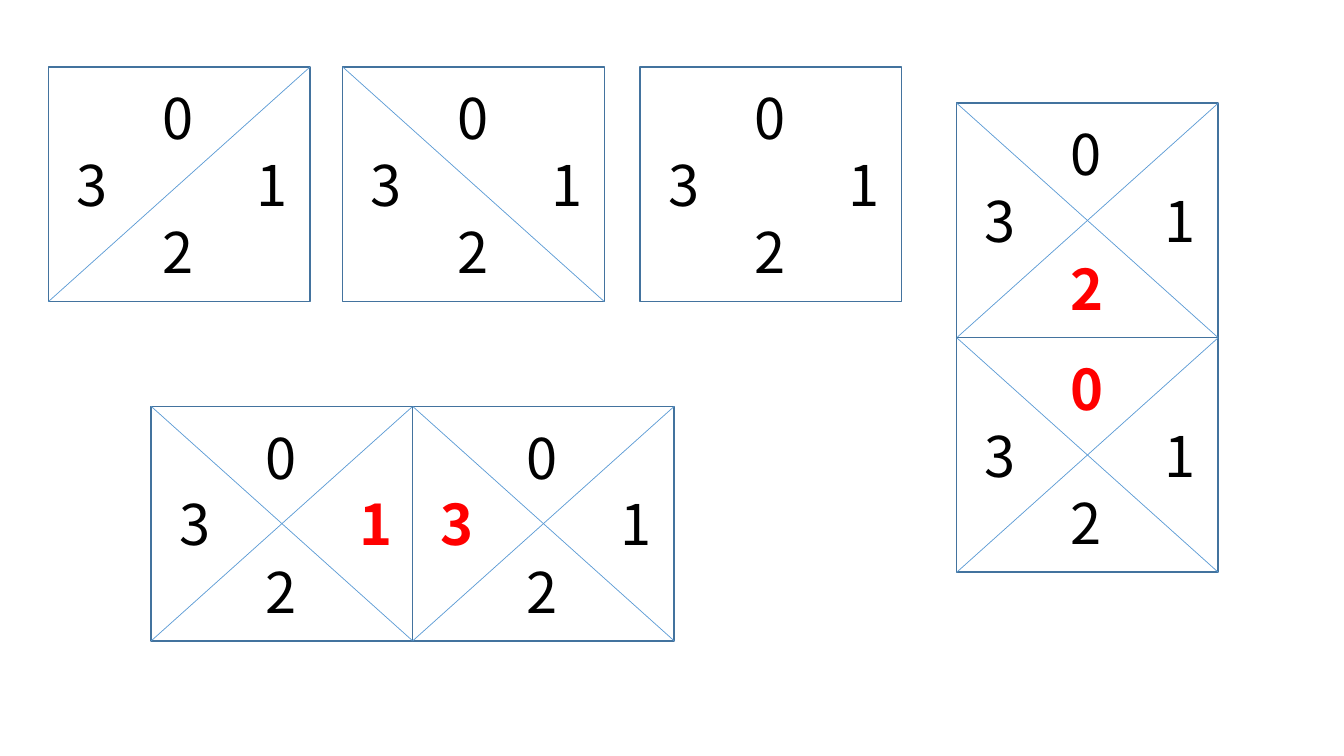
from dataclasses import dataclass

from lxml.etree import SubElement
from pptx import Presentation
from pptx.dml.color import RGBColor
from pptx.enum.shapes import MSO_CONNECTOR, MSO_SHAPE
from pptx.enum.text import MSO_ANCHOR, MSO_AUTO_SIZE, PP_ALIGN
from pptx.oxml.ns import qn
from pptx.util import Cm, Pt


@dataclass(frozen=True)
class Theme:
    """Colours, type and line widths of the slide."""
    font: str = "Noto Sans CJK SC"
    digit_size: Pt = Pt(40)
    digit: RGBColor = RGBColor(0x00, 0x00, 0x00)
    shared: RGBColor = RGBColor(0xFF, 0x00, 0x00)
    border: RGBColor = RGBColor(0x43, 0x73, 0x9E)
    border_width: Pt = Pt(1)
    diagonal: RGBColor = RGBColor(0x5B, 0x9B, 0xD5)
    diagonal_width: Pt = Pt(0.5)


theme = Theme()
presentation = Presentation()
presentation.slide_width, presentation.slide_height = Cm(33.87), Cm(19.05)
slide = presentation.slides.add_slide(presentation.slide_layouts[6])


def add_text(text, *, left, top, width, height, color, bold=False):
    """Place one line of text, with lengths in centimetres."""
    box = slide.shapes.add_textbox(Cm(left), Cm(top), Cm(width), Cm(height))
    frame = box.text_frame
    frame.word_wrap = True
    frame.auto_size = MSO_AUTO_SIZE.NONE
    frame.vertical_anchor = MSO_ANCHOR.MIDDLE
    frame.margin_right = 0
    paragraph = frame.paragraphs[0]
    paragraph.alignment = PP_ALIGN.LEFT
    run = paragraph.add_run()
    run.text = text
    run.font.name = theme.font
    run.font.size = theme.digit_size
    run.font.bold = bold
    run.font.color.rgb = color


def add_diagonal(start, end):
    """Draw a thin line between two points in centimetres."""
    line = slide.shapes.add_connector(
        MSO_CONNECTOR.STRAIGHT, *map(Cm, (*start, *end)))
    line.line.color.rgb = theme.diagonal
    line.line.width = theme.diagonal_width
    SubElement(line.element.spPr, qn("a:effectLst"))


TILE_WIDTH, TILE_HEIGHT = 6.59, 5.91
DIGIT_WIDTH, DIGIT_HEIGHT = 0.86, 1.96

# Offset of each side's digit from the tile's top left corner
side_offsets = {"0": (2.63, 0.29), "2": (2.63, 3.67),
                "1": (5.0, 1.97), "3": (0.46, 1.97)}

row_top = 1.69
pair_left, pair_top = 3.81, 10.24
stack_left, stack_top = 24.11, 2.6

# Left, top, diagonals, side shared with the neighbouring tile
tiles = [
    (1.22, row_top, "/", None),
    (8.64, row_top, "\\", None),
    (16.13, row_top, "", None),
    (pair_left, pair_top, "\\/", "1"),
    (pair_left + TILE_WIDTH, pair_top, "\\/", "3"),
    (stack_left, stack_top, "\\/", "2"),
    (stack_left, stack_top + TILE_HEIGHT, "\\/", "0"),
]

for left, top, diagonals, shared_side in tiles:
    right, bottom = left + TILE_WIDTH, top + TILE_HEIGHT
    tile = slide.shapes.add_shape(
        MSO_SHAPE.RECTANGLE, Cm(left), Cm(top), Cm(TILE_WIDTH), Cm(TILE_HEIGHT))
    tile.shadow.inherit = False
    tile.fill.background()
    tile.line.color.rgb = theme.border
    tile.line.width = theme.border_width

    if "\\" in diagonals:
        add_diagonal((left, top), (right, bottom))
    if "/" in diagonals:
        add_diagonal((right, top), (left, bottom))

    for side, (across, down) in side_offsets.items():
        is_shared = side == shared_side
        add_text(side, left=left + across, top=top + down,
                 width=DIGIT_WIDTH, height=DIGIT_HEIGHT, bold=is_shared,
                 color=theme.shared if is_shared else theme.digit)

presentation.save("out.pptx")
